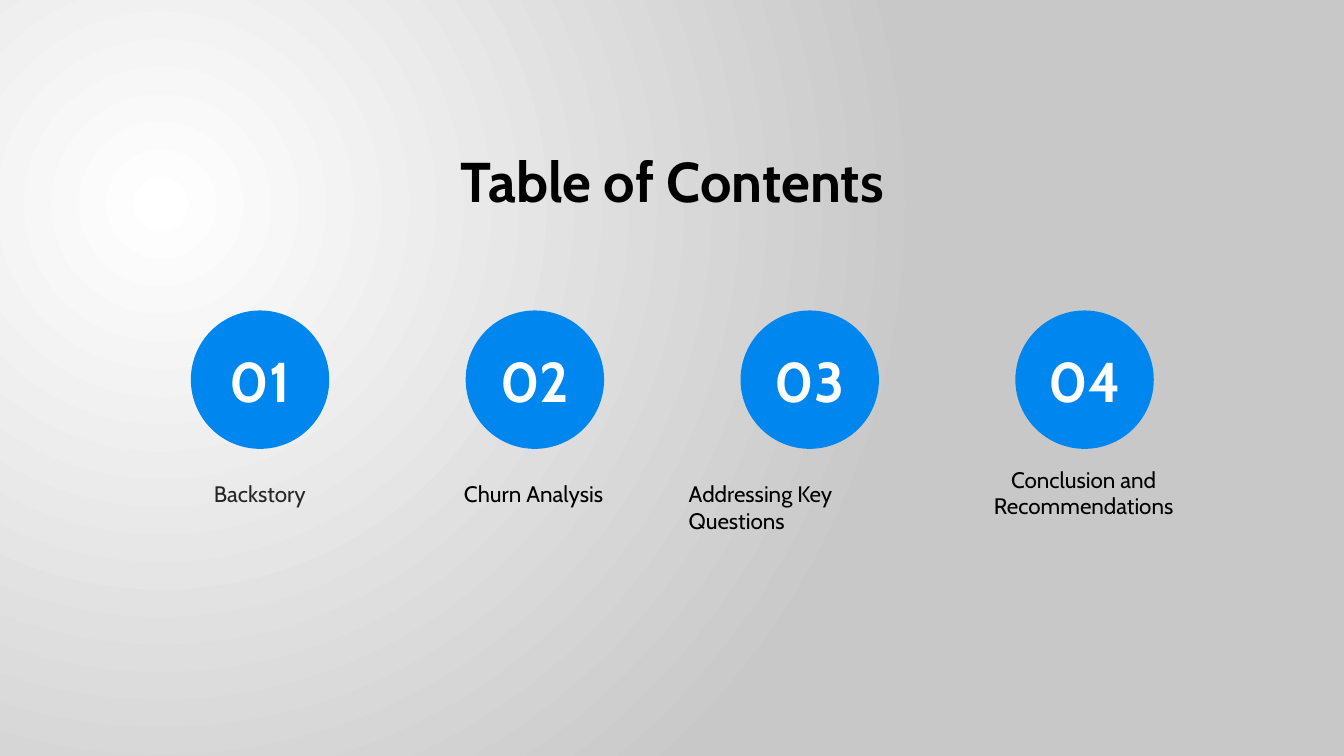
from pptx import Presentation
from pptx.dml.color import RGBColor
from pptx.enum.shapes import MSO_SHAPE
from pptx.enum.text import MSO_ANCHOR, MSO_AUTO_SIZE, PP_ALIGN
from pptx.oxml import parse_xml
from pptx.oxml.ns import nsdecls, qn
from pptx.util import Inches, Pt

BLACK = RGBColor(0x00, 0x00, 0x00)
CHARCOAL = RGBColor(0x26, 0x26, 0x26)
WHITE = RGBColor(0xFF, 0xFF, 0xFF)
GREY = RGBColor(0xC8, 0xC8, 0xC8)
BLUE = RGBColor(0x00, 0x86, 0xEF)
OVAL = MSO_SHAPE.OVAL
TOP, MIDDLE = MSO_ANCHOR.TOP, MSO_ANCHOR.MIDDLE
GROW = MSO_AUTO_SIZE.SHAPE_TO_FIT_TEXT
LEFT, CENTER = PP_ALIGN.LEFT, PP_ALIGN.CENTER


def set_text(sp, text, size, color, bold=False, align=CENTER, anchor=TOP):
    tf = sp.text_frame
    tf.word_wrap = True
    tf.vertical_anchor = anchor
    p = tf.paragraphs[0]
    p.alignment = align
    r = p.add_run()
    r.text = text
    r.font.color.rgb = color
    for name, value in {"name": "Cabin", "size": Pt(size), "bold": bold}.items():
        setattr(r.font, name, value)


prs = Presentation()
prs.slide_width, prs.slide_height = Inches(20), Inches(11.25)
s = prs.slides.add_slide(prs.slide_layouts[5])

# Background: radial gradient centred at the upper left
fill = s.background.fill
fill.gradient()
for stop, color in zip(fill.gradient_stops, (WHITE, GREY)):
    stop.color.rgb = color
grad = s.element.find(".//" + qn("a:gradFill"))
lin = grad.find(qn("a:lin"))
grad.replace(lin, parse_xml(
    f'<a:path {nsdecls("a")} path="circle">'
    '<a:fillToRect l="50000" t="55000" r="125000" b="100000"/></a:path>'))

# Title
title = s.shapes.title
title.left, title.top = Inches(5), Inches(2.13)
title.width, title.height = Inches(10), Inches(1.11)
set_text(title, "Table of Contents", 60, BLACK, bold=True)
title.text_frame.auto_size = GROW

# Numbered circles with a label below: text, left, top, width, height, colour, alignment
SECTIONS = [
    ("Backstory", 2.76, 7.09, 2.21, 0.5, CHARCOAL, CENTER),
    ("Churn Analysis", 6.47, 7.09, 2.94, 0.5, BLACK, CENTER),
    ("Addressing Key Questions", 10.15, 7.09, 3.78, 0.5, BLACK, LEFT),
    ("Conclusion and Recommendations", 14.58, 6.88, 3.09, 0.91, BLACK, CENTER),
]
DIAMETER, PITCH = 2.06, 4.09
for i, (label, left, top, width, height, color, align) in enumerate(SECTIONS):
    circle = s.shapes.add_shape(OVAL, Inches(2.84 + i * PITCH), Inches(4.62),
                                Inches(DIAMETER), Inches(DIAMETER))
    circle.shadow.inherit = False
    circle.fill.solid()
    circle.fill.fore_color.rgb = BLUE
    circle.line.fill.background()
    set_text(circle, f"{i + 1:02d}", 60, WHITE, bold=True, anchor=MIDDLE)

    box = s.shapes.add_textbox(Inches(left), Inches(top), Inches(width), Inches(height))
    set_text(box, label, 24, color, align=align)
    box.text_frame.auto_size = GROW

prs.save("out.pptx")
